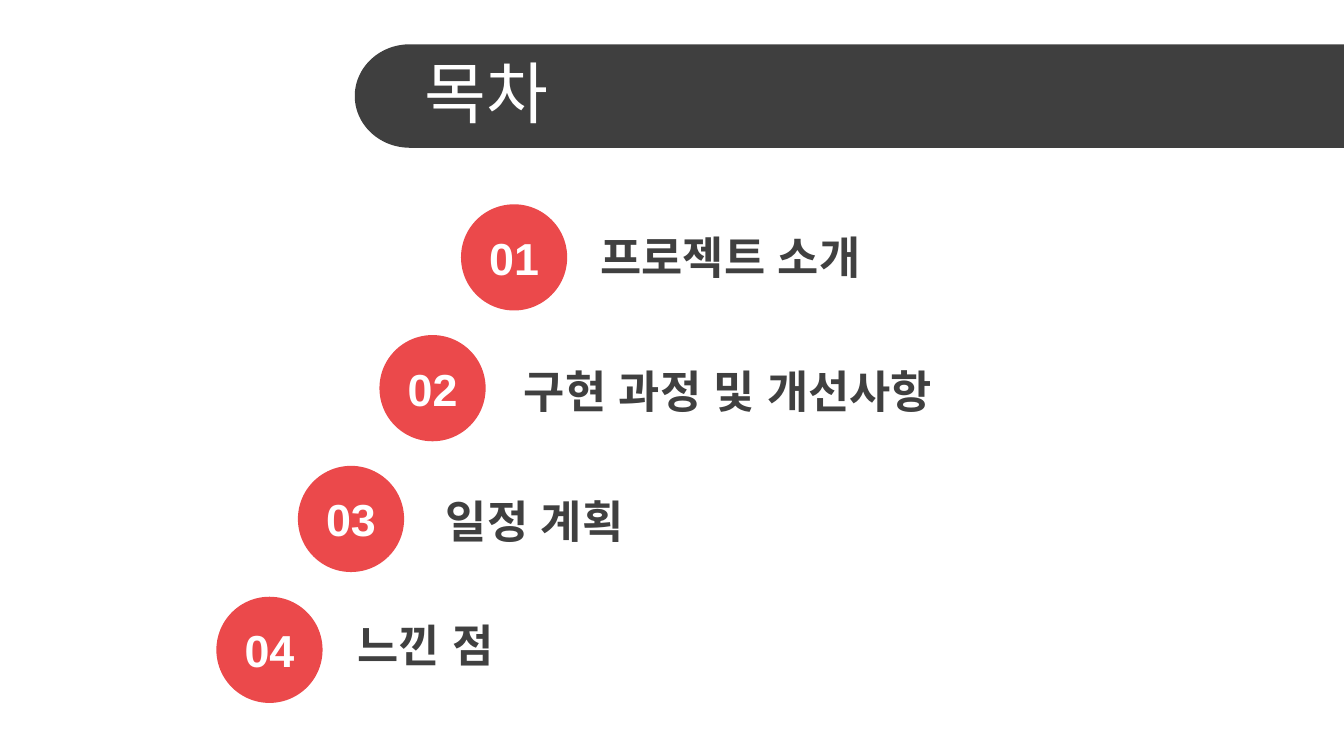
import math

import lxml.etree
import pptx
import pptx.dml.color
import pptx.enum.shapes
import pptx.enum.text
import pptx.oxml.ns
import pptx.util

Inches = pptx.util.Inches
RGBColor = pptx.dml.color.RGBColor
ALIGN = pptx.enum.text.PP_ALIGN
ANCHOR = pptx.enum.text.MSO_ANCHOR

BAR_GRAY = RGBColor(0x3F, 0x3F, 0x3F)
TEXT_GRAY = RGBColor(0x40, 0x40, 0x40)
RED = RGBColor(0xEB, 0x49, 0x4B)
WHITE = RGBColor(0xFF, 0xFF, 0xFF)

FONT = "Arial"
TITLE_FORMAT = {"name": FONT, "size": pptx.util.Pt(36), "bold": False}
ITEM_FORMAT = {"name": FONT, "size": pptx.util.Pt(24), "bold": True}

PAGE_WIDTH = 10
PAGE_HEIGHT = PAGE_WIDTH * 9 / 16
CIRCLE_SIZE = 0.79
TEXT_HEIGHT = 0.5
LABEL_WIDTH = 5.04
FIRST_LEFT, FIRST_TOP = 3.43, 1.52
LAST_LEFT, LAST_TOP = 1.61, 4.44

# Label text with the left and top of its box
AGENDA = [
    ("프로젝트 소개", 4.37, 1.66),
    ("구현 과정 및 개선사항", 3.8, 2.66),
    ("일정 계획", 3.22, 3.62),
    ("느낀 점", 2.56, 4.55),
]


def fill_shape(shape, color):
    shape.shadow.inherit = False
    shape.fill.solid()
    shape.fill.fore_color.rgb = color
    shape.line.fill.background()


def set_east_asian_font(box):
    """Use the font for Korean runs too, spaces included."""
    qualify = pptx.oxml.ns.qn
    for latin in list(box.element.iter(qualify("a:latin"))):
        east_asian = lxml.etree.Element(qualify("a:ea"), typeface=FONT)
        latin.addnext(east_asian)


def write_text(box, text, text_format, color, align=ALIGN.LEFT):
    frame = box.text_frame
    frame.word_wrap = True
    frame.vertical_anchor = ANCHOR.MIDDLE
    para = frame.paragraphs[0]
    para.alignment = align
    span = para.add_run()
    span.text = text
    for name, value in text_format.items():
        setattr(span.font, name, value)
    span.font.color.rgb = color
    set_east_asian_font(box)


def add_bar(page, left, top, height, cap_width):
    """Add a bar with a rounded left end that runs to the page's right edge."""
    middle = top + height / 2
    cap_right = left + cap_width
    points = []
    for degrees in range(90, 271, 3):
        angle = math.radians(degrees)
        points.append((cap_right + cap_width * math.cos(angle),
                       middle + height / 2 * math.sin(angle)))
    points += [(PAGE_WIDTH, top), (PAGE_WIDTH, top + height)]
    points = [(Inches(across), Inches(down)) for across, down in points]
    outline = page.shapes.build_freeform(*points[0])
    outline.add_line_segments(points[1:], close=True)
    bar = outline.convert_to_shape()
    fill_shape(bar, BAR_GRAY)
    return bar


def add_title(page, text):
    title = page.shapes.title
    title.left, title.top = Inches(3.06), Inches(0.37)
    title.width, title.height = Inches(6.94), Inches(0.63)
    write_text(title, text, TITLE_FORMAT, WHITE)
    title.text_frame.auto_size = pptx.enum.text.MSO_AUTO_SIZE.NONE
    bar = add_bar(page, 2.64, 0.33, 0.77, 0.41)
    title.element.addprevious(bar.element)


def add_item_text(page, text, left, top, width, color, align=ALIGN.LEFT):
    box = page.shapes.add_textbox(
        Inches(left), Inches(top), Inches(width), Inches(TEXT_HEIGHT))
    write_text(box, text, ITEM_FORMAT, color, align)


def add_number(page, index):
    share = index / (len(AGENDA) - 1)
    left = FIRST_LEFT + share * (LAST_LEFT - FIRST_LEFT)
    top = FIRST_TOP + share * (LAST_TOP - FIRST_TOP)
    circle = page.shapes.add_shape(
        pptx.enum.shapes.MSO_SHAPE.OVAL, Inches(left), Inches(top),
        Inches(CIRCLE_SIZE), Inches(CIRCLE_SIZE))
    fill_shape(circle, RED)
    text_top = top + (CIRCLE_SIZE - TEXT_HEIGHT) / 2
    add_item_text(page, f"{index + 1:02d}", left, text_top, CIRCLE_SIZE,
                  WHITE, ALIGN.CENTER)


def main():
    deck = pptx.Presentation()
    deck.slide_width = Inches(PAGE_WIDTH)
    deck.slide_height = Inches(PAGE_HEIGHT)
    page = deck.slides.add_slide(deck.slide_layouts.get_by_name("Title Only"))
    add_title(page, "목차")
    for index, (label, left, top) in enumerate(AGENDA):
        add_number(page, index)
        add_item_text(page, label, left, top, LABEL_WIDTH, TEXT_GRAY)
    deck.save("out.pptx")


if __name__ == "__main__":
    main()
